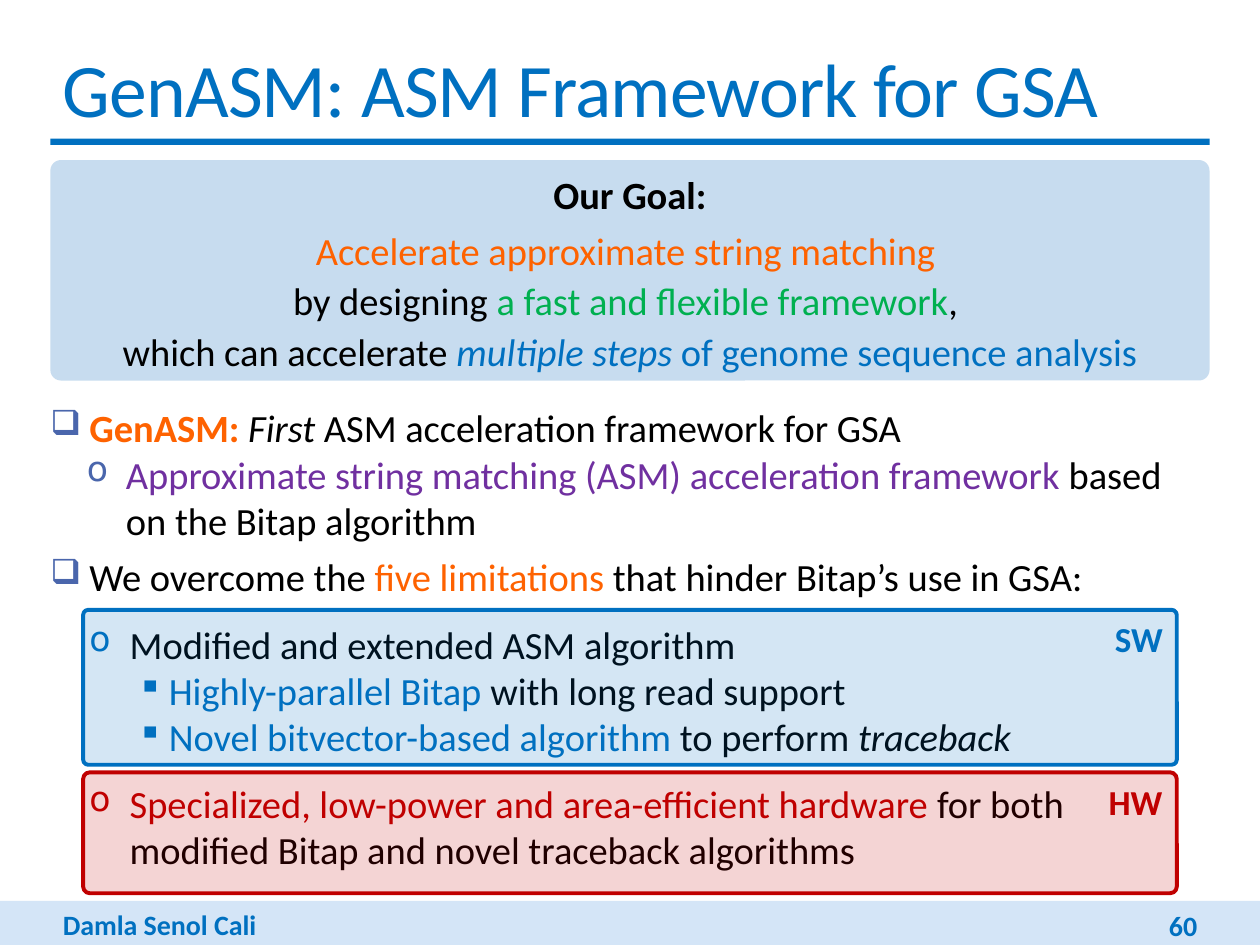
from lxml.etree import SubElement
from pptx import Presentation
from pptx.dml.color import RGBColor
from pptx.enum.shapes import MSO_SHAPE
from pptx.enum.text import MSO_ANCHOR, PP_ALIGN
from pptx.oxml.ns import qn
from pptx.util import Inches, Pt

FONT = "Calibri"
BLACK, BLUE, ORANGE, GREEN = "000000", "0070C0", "FE6200", "00B050"
PURPLE, RED, INDIGO = "7030A0", "C00000", "4A66AC"
MARGIN, CONTENT_WIDTH = 0.4, 9.2
FOOTER_TOP = 7.15

# A run is (text, colour, style), where style holds "b" and/or "i".
TITLE = [("GenASM: ASM Framework for GSA", BLUE, "")]
AUTHOR = [("Damla Senol Cali", BLUE, "b")]
PAGE_NUMBER = [("60", BLUE, "b")]

GOAL = [
    [("Our Goal:", BLACK, "b")],
    [("Accelerate approximate string matching ", ORANGE, "")],
    [("by designing ", BLACK, ""), ("a fast and flexible framework", GREEN, ""),
     (", ", BLACK, "")],
    [("which can accelerate ", BLACK, ""), ("multiple steps ", BLUE, "i"),
     ("of genome sequence analysis", BLUE, "")],
]

# Bullet kinds: level, text indent, hanging indent, character
BULLETS = {
    "main": (0, 0.31, 0.31, "❑"),
    "sub": (1, 0.6, 0.31, "o"),
    "boxed": (1, 0.63, 0.32, "o"),
    "detail": (2, 0.94, 0.25, "▪"),
}

# Bullet kind, bullet colour, space before, runs
BODY = [
    ("main", INDIGO, 0, [("GenASM: ", ORANGE, "b"), ("First", BLACK, "i"),
                         (" ASM acceleration framework for GSA", BLACK, "")]),
    ("sub", INDIGO, 0, [
        ("Approximate string matching (ASM) acceleration framework ", PURPLE, ""),
        ("based on the Bitap algorithm", BLACK, "")]),
    ("main", INDIGO, 6, [("We overcome the ", BLACK, ""),
                         ("five limitations ", ORANGE, ""),
                         ("that hinder Bitap’s use in GSA:", BLACK, "")]),
    ("boxed", BLUE, 12, [("Modified and extended ASM algorithm", BLACK, "")]),
    ("detail", BLUE, 0, [("Highly-parallel Bitap ", BLUE, ""),
                         ("with long read support", BLACK, "")]),
    ("detail", BLUE, 0, [("Novel bitvector-based algorithm ", BLUE, ""),
                         ("to perform ", BLACK, ""), ("traceback", BLACK, "i")]),
    ("boxed", RED, 12, [
        ("Specialized, low-power and area-efficient hardware ", RED, ""),
        ("for both modified Bitap and novel traceback algorithms", BLACK, "")]),
]

# Label, colour, top, height, corner
FRAMES = [("SW", BLUE, 4.84, 1.23, 0.033), ("HW", RED, 6.13, 0.96, 0.055)]


def color(hex_string):
    return RGBColor.from_string(hex_string)


def add_runs(paragraph, runs, size):
    for text, hex_string, style in runs:
        run = paragraph.add_run()
        run.text = text
        font = run.font
        font.name, font.size = FONT, Pt(size)
        font.bold, font.italic = "b" in style, "i" in style
        font.color.rgb = color(hex_string)


def paragraphs_for(frame, items):
    """Pair each item with a paragraph of the frame."""
    for index, item in enumerate(items):
        yield frame.add_paragraph() if index else frame.paragraphs[0], item


def add_box(slide, left, top, width, height, fill, alpha=100, line=None, corner=None):
    kind = MSO_SHAPE.RECTANGLE if corner is None else MSO_SHAPE.ROUNDED_RECTANGLE
    shape = slide.shapes.add_shape(
        kind, Inches(left), Inches(top), Inches(width), Inches(height))
    shape.shadow.inherit = False
    if corner is not None:
        shape.adjustments[0] = corner
    shape.fill.solid()
    shape.fill.fore_color.rgb = color(fill)
    if alpha < 100:
        fill_color = shape.fill._xPr.find(qn("a:solidFill"))[0]
        SubElement(fill_color, qn("a:alpha"), val=str(alpha * 1000))
    if line:
        shape.line.color.rgb = color(line)
        shape.line.width = Pt(2.25)
    else:
        shape.line.fill.background()
    return shape


def add_text(slide, left, top, width, height, runs=(), size=16,
             anchor=MSO_ANCHOR.MIDDLE, align=PP_ALIGN.LEFT):
    box = slide.shapes.add_textbox(
        Inches(left), Inches(top), Inches(width), Inches(height))
    frame = box.text_frame
    frame.word_wrap = True
    frame.vertical_anchor = anchor
    frame.paragraphs[0].alignment = align
    add_runs(frame.paragraphs[0], runs, size)
    return frame


def set_bullet(paragraph, kind, hex_string):
    level, indent, hanging, character = BULLETS[kind]
    paragraph.level = level
    properties = paragraph._p.get_or_add_pPr()
    properties.set("marL", str(Inches(indent)))
    properties.set("indent", str(-Inches(hanging)))
    bullet_color = SubElement(properties, qn("a:buClr"))
    SubElement(bullet_color, qn("a:srgbClr"), val=hex_string)
    SubElement(properties, qn("a:buSzPct"), val="90000")
    SubElement(properties, qn("a:buChar"), char=character)


def add_body(slide):
    frame = add_text(slide, MARGIN, 3.16, CONTENT_WIDTH, 3.88, anchor=MSO_ANCHOR.TOP)
    frame.margin_left = frame.margin_right = 0
    for paragraph, (kind, hex_string, space, runs) in paragraphs_for(frame, BODY):
        set_bullet(paragraph, kind, hex_string)
        paragraph.space_before = Pt(space)
        add_runs(paragraph, runs, 22)


def add_goal(slide):
    panel = add_box(slide, MARGIN, 1.27, CONTENT_WIDTH, 1.75, "C0D8ED",
                    alpha=88, corner=0.048)
    frame = panel.text_frame
    frame.vertical_anchor = MSO_ANCHOR.MIDDLE
    for paragraph, runs in paragraphs_for(frame, GOAL):
        paragraph.alignment = PP_ALIGN.CENTER
        paragraph.line_spacing = 1.1
        add_runs(paragraph, runs, 22)
    frame.paragraphs[0].space_after = Pt(3)


def add_frames(slide):
    for label, hex_string, top, height, corner in FRAMES:
        shape = add_box(slide, 0.66, top, 8.68, height, hex_string,
                        alpha=17, line=hex_string, corner=corner)
        shape.text_frame.vertical_anchor = MSO_ANCHOR.TOP
        paragraph = shape.text_frame.paragraphs[0]
        paragraph.alignment = PP_ALIGN.RIGHT
        add_runs(paragraph, [(label, hex_string, "b")], 20)


def main():
    presentation = Presentation()
    presentation.slide_width, presentation.slide_height = Inches(10), Inches(7.5)
    slide = presentation.slides.add_slide(presentation.slide_layouts[6])

    add_box(slide, 0, FOOTER_TOP, 10, 0.41, "D4E5F7")
    add_box(slide, MARGIN, 1.1, CONTENT_WIDTH, 0.05, BLUE)
    add_text(slide, MARGIN, FOOTER_TOP, 2.5, 0.37, AUTHOR, anchor=MSO_ANCHOR.TOP)
    title = add_text(slide, MARGIN, 0.28, CONTENT_WIDTH, 0.82, TITLE, size=43.2)
    title.paragraphs[0].runs[0].font._element.set("spc", "-50")
    add_body(slide)
    add_goal(slide)
    add_text(slide, 8.22, 7.19, 1.38, 0.3, PAGE_NUMBER, align=PP_ALIGN.RIGHT)
    add_frames(slide)
    presentation.save("out.pptx")


if __name__ == "__main__":
    main()
